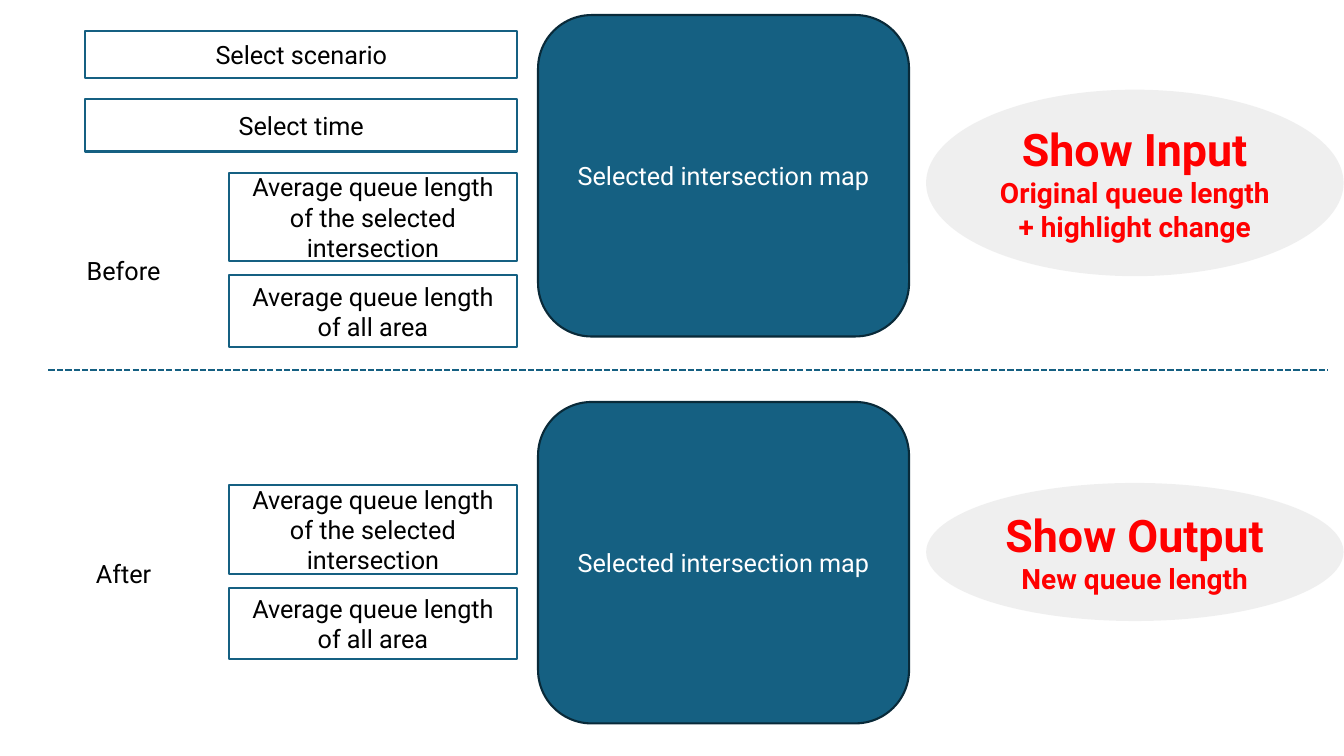
from lxml.etree import SubElement
from pptx import Presentation
from pptx.dml.color import RGBColor
from pptx.enum.dml import MSO_LINE_DASH_STYLE as Dash
from pptx.enum.shapes import MSO_CONNECTOR_TYPE as Connector, MSO_SHAPE as Preset
from pptx.enum.text import MSO_ANCHOR as Anchor, PP_ALIGN as Align
from pptx.oxml.ns import qn
from pptx.util import Cm, Pt

COLORS = {
    "blue": "156082",
    "navy": "092A39",
    "white": "FFFFFF",
    "black": "000000",
    "gray": "E8E8E8",
    "red": "FF0000",
}
FONT = "Roboto"


def color(name):
    """Return the palette colour of this name."""
    return RGBColor.from_string(COLORS[name])


def write(shape, lines, color_name, bold=False, anchor=Anchor.MIDDLE):
    """Write centred (text, size) lines into a shape."""
    frame = shape.text_frame
    frame.word_wrap = True
    frame.vertical_anchor = anchor
    for index, (text, size) in enumerate(lines):
        paragraph = frame.add_paragraph() if index else frame.paragraphs[0]
        paragraph.alignment = Align.CENTER
        run = paragraph.add_run()
        run.text = text
        run.font.name = FONT
        run.font.size = Pt(size)
        run.font.bold = bold
        run.font.color.rgb = color(color_name)


def add_block(slide, preset, place, fill, line=None):
    """Add a filled preset shape, outlined if a line colour is given."""
    shape = slide.shapes.add_shape(preset, *map(Cm, place))
    shape.shadow.inherit = False
    shape.fill.solid()
    shape.fill.fore_color.rgb = color(fill)
    if line:
        shape.line.color.rgb = color(line)
        shape.line.width = Pt(1.5)
    else:
        shape.line.fill.background()
    return shape


def add_box(slide, place, text):
    """Add a white box with a blue outline."""
    box = add_block(slide, Preset.RECTANGLE, place, "white", "blue")
    write(box, [(text, 18)], "black")


def add_map(slide, top):
    """Add the rounded map area."""
    place = (13.56, top, 9.35, 8.1)
    area = add_block(slide, Preset.ROUNDED_RECTANGLE, place, "blue", "navy")
    write(area, [("Selected intersection map", 18)], "white")


def add_callout(slide, top, height, title, detail):
    """Add a translucent ellipse with a red title and detail."""
    ellipse = add_block(slide, Preset.OVAL, (23.34, top, 10.52, height), "gray")
    fill_color = next(ellipse.fill._xPr.iter(qn("a:srgbClr")))
    SubElement(fill_color, qn("a:alpha"), val="66000")
    write(ellipse, [(title, 32), (detail, 20)], "red", True, Anchor.TOP)


def add_label(slide, top, text):
    """Add the name of a stage."""
    label = slide.shapes.add_textbox(Cm(1.35), Cm(top), Cm(3.53), Cm(1.02))
    write(label, [(text, 18)], "black", anchor=Anchor.TOP)


def add_averages(slide, top):
    """Add the two queue length boxes of a stage."""
    add_box(slide, (5.77, top, 7.26, 2.24), "Average queue length of the selected intersection")
    add_box(slide, (5.77, top + 2.59, 7.26, 1.8), "Average queue length of all area")


def add_divider(slide):
    """Add the dashed line between the stages."""
    divider = slide.shapes.add_connector(
        Connector.STRAIGHT, Cm(1.22), Cm(9.32), Cm(33.45), Cm(9.32))
    divider.line.color.rgb = color("blue")
    divider.line.width = Pt(1.5)
    divider.line.dash_style = Dash.SQUARE_DOT
    SubElement(divider._element.spPr, qn("a:effectLst"))


def main():
    """Build and save the slide."""
    presentation = Presentation()
    presentation.slide_width = Cm(33.87)
    presentation.slide_height = Cm(19.05)
    slide = presentation.slides.add_slide(presentation.slide_layouts[6])

    add_box(slide, (2.15, 0.78, 10.89, 1.18), "Select scenario")
    add_box(slide, (2.15, 2.5, 10.89, 1.32), "Select time")
    add_divider(slide)

    stages = [
        ("Before", 6.3, 0.38, 4.35,
         (2.26, 4.7, "Show Input", "Original queue length + highlight change")),
        ("After", 13.94, 10.13, 12.22,
         (12.17, 3.48, "Show Output", "New queue length")),
    ]
    for name, label_top, map_top, averages_top, callout in stages:
        add_label(slide, label_top, name)
        add_map(slide, map_top)
        add_averages(slide, averages_top)
        add_callout(slide, *callout)

    presentation.save("out.pptx")


if __name__ == "__main__":
    main()
